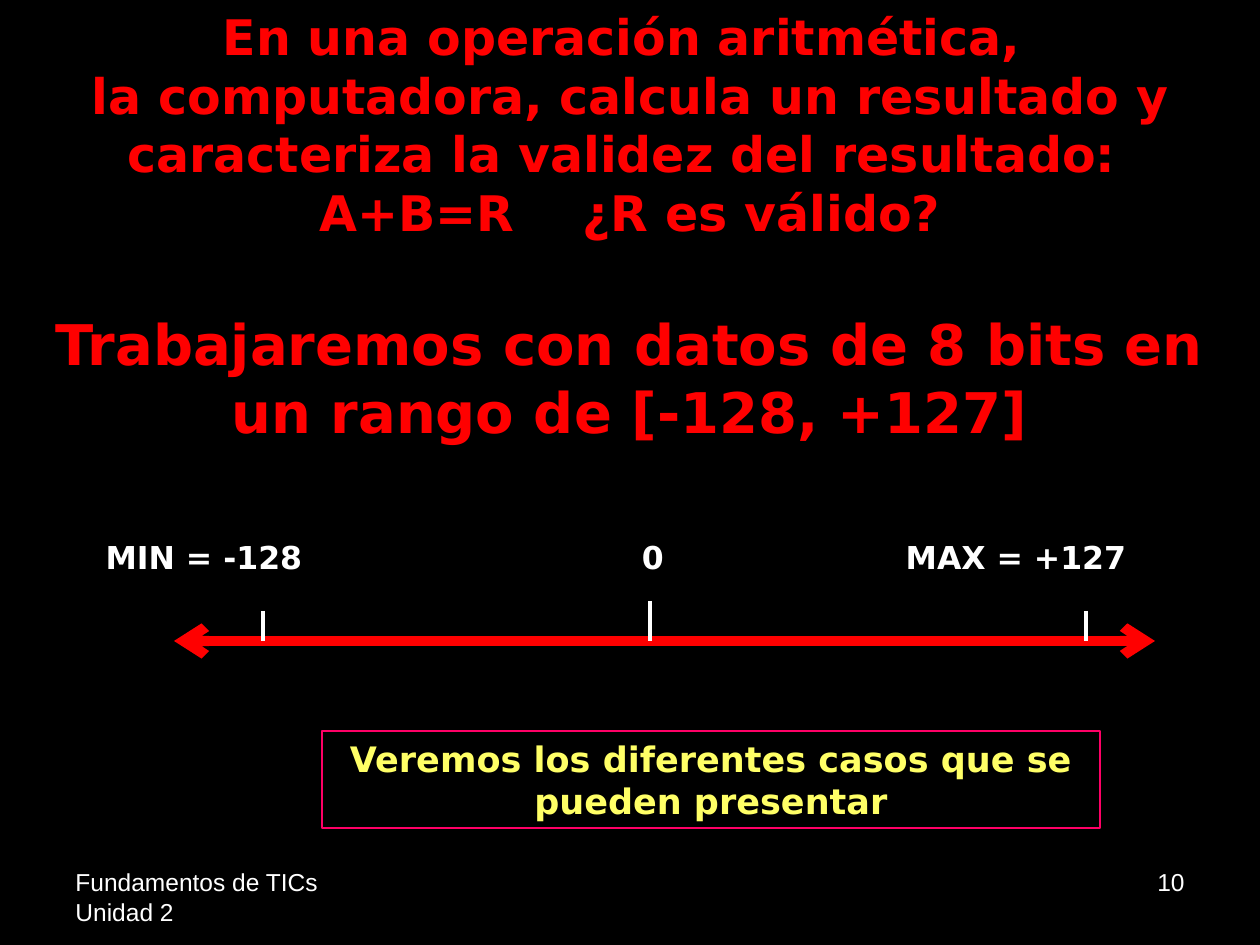
from dataclasses import dataclass

from lxml.etree import SubElement
from pptx import Presentation
from pptx.dml.color import RGBColor
from pptx.enum.shapes import MSO_CONNECTOR as Connector, MSO_SHAPE as Shape
from pptx.enum.text import MSO_ANCHOR as Anchor, MSO_AUTO_SIZE as AutoSize, PP_ALIGN as Align
from pptx.oxml.ns import qn
from pptx.util import Pt

EMU_PER_PX = 914400 / 126


def px(length):
    return round(length * EMU_PER_PX)


@dataclass(frozen=True)
class Theme:
    background: str = "000000"
    accent: str = "FF0000"
    text: str = "FFFFFF"
    note: str = "FFFF66"
    frame: str = "FF0066"
    heading_font: str = "DejaVu Sans"
    footer_font: str = "Arial"
    statement_size: int = 28
    range_size: int = 32
    note_size: int = 20
    label_size: int = 18
    footer_size: int = 14


class SlideBuilder:
    def __init__(self, presentation, theme):
        self.theme = theme
        self.slide = presentation.slides.add_slide(presentation.slide_layouts[5])
        fill = self.slide.background.fill
        fill.solid()
        fill.fore_color.rgb = RGBColor.from_string(theme.background)

    def style(self, paragraph, size, color, align=Align.CENTER, font=None, bold=True):
        paragraph.alignment = align
        paragraph.font.name = font or self.theme.heading_font
        paragraph.font.size = Pt(size)
        paragraph.font.bold = bold
        paragraph.font.color.rgb = RGBColor.from_string(color)

    def title(self, left, top, width, height, lines):
        """Fill the title from (text runs, size, space before) lines."""
        title = self.slide.shapes.title
        title.left, title.top, title.width, title.height = map(px, (left, top, width, height))
        frame = title.text_frame
        frame.word_wrap = True
        frame.auto_size = AutoSize.NONE
        frame.vertical_anchor = Anchor.TOP
        for index, (texts, size, space_before) in enumerate(lines):
            paragraph = frame.add_paragraph() if index else frame.paragraphs[0]
            self.style(paragraph, size, self.theme.accent)
            paragraph.space_before = Pt(space_before)
            for text in texts:
                run = paragraph.add_run()
                run.text = text
                if text == " ":  # one wide space between formula and question
                    run.font._element.set("spc", "2900")

    def text(self, left, top, width, height, text, size, **style):
        box = self.slide.shapes.add_textbox(*map(px, (left, top, width, height)))
        box.text_frame.word_wrap = True
        box.text_frame.text = text
        self.style(box.text_frame.paragraphs[0], size, self.theme.text, **style)

    def footer(self, left, text, align):
        self.text(left, 861, 294, 66, text, self.theme.footer_size,
                  align=align, font=self.theme.footer_font, bold=False)

    def framed_note(self, left, top, width, height, text):
        shape = self.slide.shapes.add_shape(Shape.RECTANGLE, *map(px, (left, top, width, height)))
        shape.shadow.inherit = False
        shape.fill.background()
        shape.line.color.rgb = RGBColor.from_string(self.theme.frame)
        shape.line.width = Pt(0.75)
        shape.text_frame.word_wrap = True
        shape.text_frame.text = text
        self.style(shape.text_frame.paragraphs[0], self.theme.note_size, self.theme.note)

    def line(self, start, end, color, width, arrows=False):
        connector = self.slide.shapes.add_connector(Connector.STRAIGHT, *map(px, start + end))
        connector.line.color.rgb = RGBColor.from_string(color)
        connector.line.width = Pt(width)
        if arrows:
            for tag in ("a:headEnd", "a:tailEnd"):
                SubElement(connector.line._get_or_add_ln(), qn(tag), type="arrow")
        SubElement(connector._element.spPr, qn("a:effectLst"))


def main():
    theme = Theme()
    presentation = Presentation()
    presentation.slide_width, presentation.slide_height = px(1260), px(945)
    builder = SlideBuilder(presentation, theme)

    builder.title(0, 0, 1260, 658, [
        (["En una operación aritmética, "], theme.statement_size, 0),
        (["la computadora, calcula un resultado y caracteriza la validez del resultado: "],
         theme.statement_size, 0),
        (["A+B=R", " ", "¿R es válido?"], theme.statement_size, 0),
        (["Trabajaremos con datos de 8 bits en un rango de [-128, +127]"], theme.range_size, 39),
    ])

    axis_y, label_width = 641, 280
    builder.line((174, axis_y), (1155, axis_y), theme.accent, 5.75, arrows=True)
    marks = [("MIN = -128", 204, 263, 30), ("0", 653, 650, 40), ("MAX = +127", 1016, 1086, 30)]
    for label, label_center, tick_x, tick_height in marks:
        builder.text(label_center - label_width // 2, 532, label_width, 50, label, theme.label_size)
        builder.line((tick_x, axis_y - tick_height), (tick_x, axis_y), theme.text, 2.75)

    builder.framed_note(322, 731, 778, 97, "Veremos los diferentes casos que se pueden presentar")
    builder.footer(63, "Fundamentos de TICs Unidad 2", Align.LEFT)
    builder.footer(903, "10", Align.RIGHT)
    presentation.save("out.pptx")


if __name__ == "__main__":
    main()
